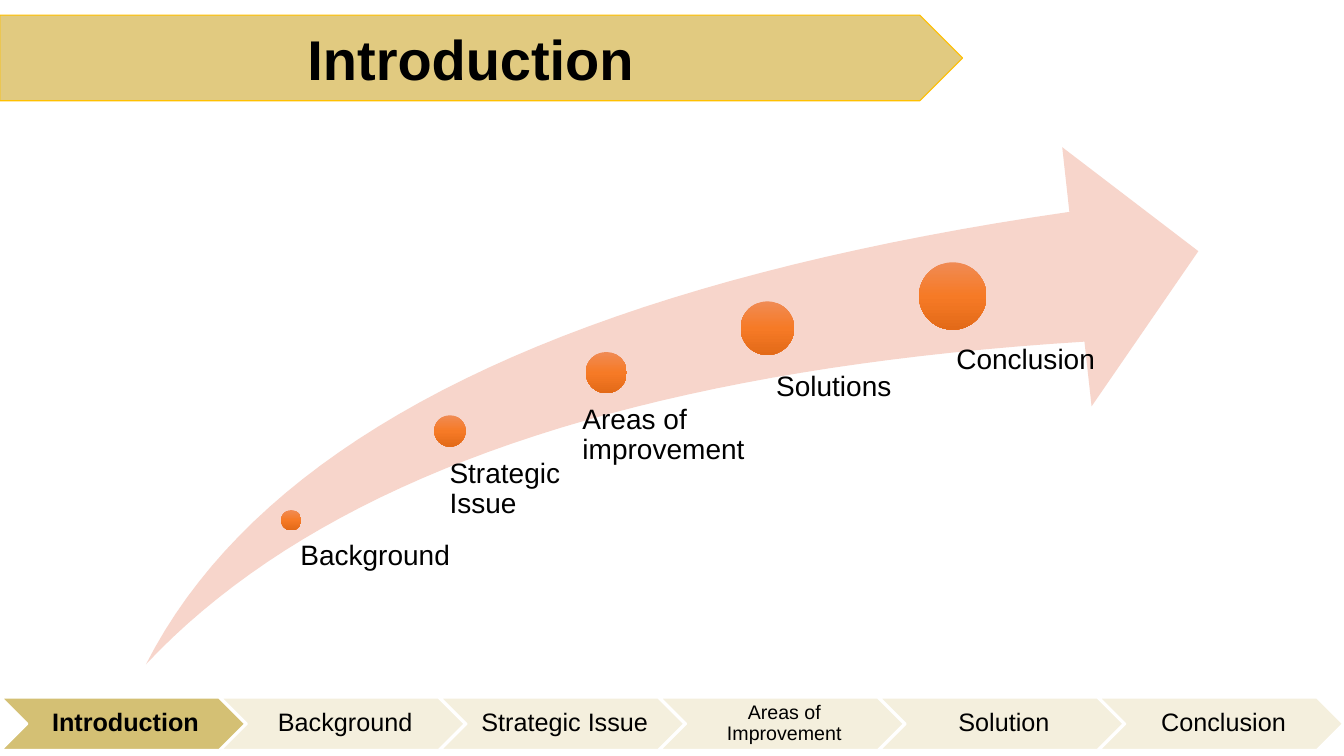
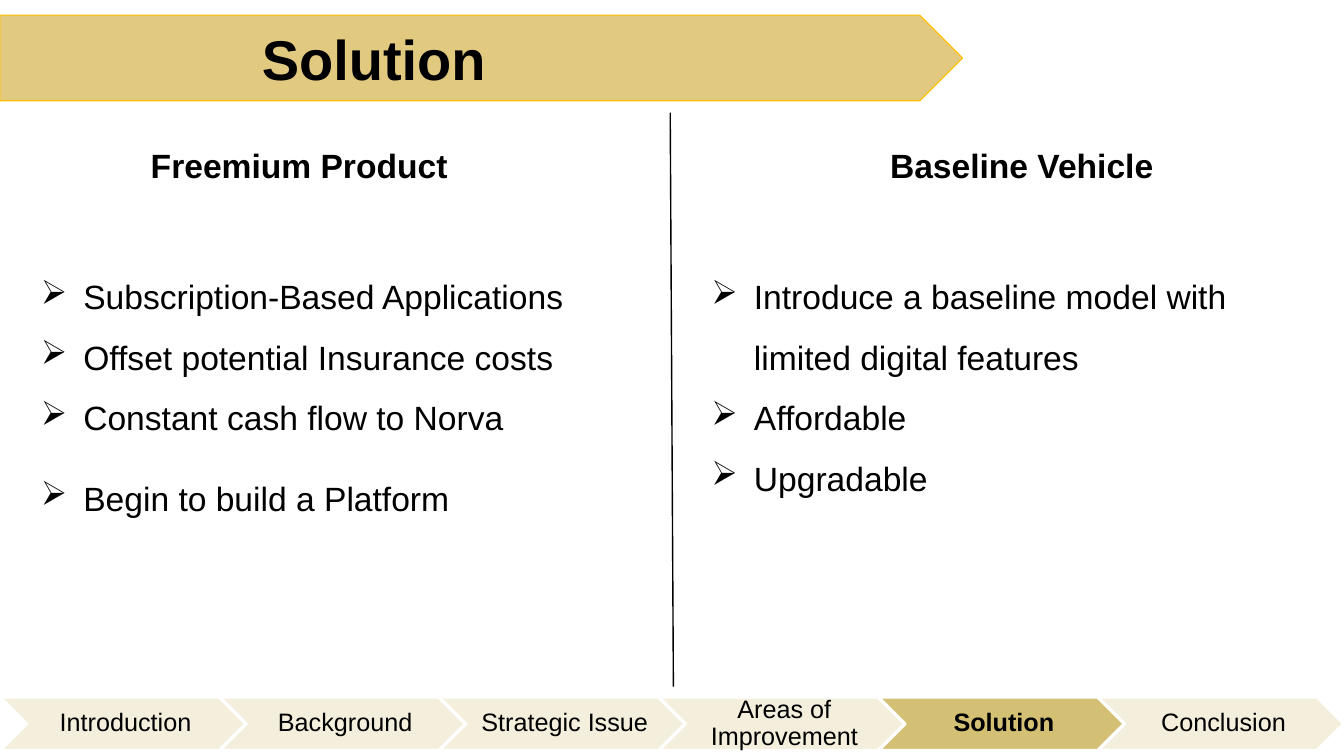
from copy import deepcopy

from lxml import etree
from pptx import Presentation
from pptx.dml import color
from pptx.enum import shapes, text
from pptx.oxml import ns
from pptx.util import Cm, Pt

FONT = "Arial"
BLACK = "000000"
WHITE = "FFFFFF"
BANNER_FILL = "E1CA80"
BANNER_EDGE = "FFC000"
STEP_FILL = "D4C074"
ARROW_FILL = "F7D5CB"
DOT_STOPS = [(0, "F08B54"), (0.5, "F67A26"), (1, "E36A18")]

BANNER_BOX = (0, 0.38, 24.26, 2.16)
STEPS_BOX = (0.03, 17.58, 33.82, 1.32)
STEPS = ["Introduction", "Background", "Strategic Issue",
         "Areas of Improvement", "Solution", "Conclusion"]

MILESTONES = [
    ("Background", (3.66, 9.4), 0.51, (3.89, 9.93, 4.22, 1.17)),
    ("Strategic Issue", (7.66, 7.15), 0.79, (7.65, 7.87, 3.61, 1.7)),
    ("Areas of improvement", (11.6, 5.68), 1.04, (11, 6.5, 4.52, 5.41)),
    ("Solutions", (15.66, 4.56), 1.35, (15.88, 5.66, 6.38, 5.61)),
    ("Conclusion", (20.33, 3.75), 1.7, (20.42, 5, 5.38, 1.04)),
]
UPPER_EDGE = [(0, 13.03), (2.95, 7.24), (10.72, 3.45), (23.27, 1.63)]
ARROW_HEAD = [(23.09, 0), (26.52, 2.62), (23.83, 6.53), (23.65, 4.9)]
LOWER_EDGE = [(23.65, 4.9), (12.29, 5.61), (4.42, 8.33), (0, 13.03)]

FREEMIUM = [("Subscription-Based Applications", 1.5),
            ("Offset potential Insurance costs", 1.5),
            ("Constant cash flow to Norva", 1.5),
            ("Begin to build a Platform", 2)]
BASELINE = [("Introduce a baseline model with limited digital features", 1.5),
            ("Affordable", 1.5),
            ("Upgradable", 1.5)]


def rgb(hex_string):
    return color.RGBColor.from_string(hex_string)


def cm(*lengths):
    return [Cm(length) for length in lengths]


def add_run(paragraph, words, size, bold=False):
    run = paragraph.add_run()
    run.text = words
    run.font.name = FONT
    run.font.size = Pt(size)
    run.font.bold = bold
    run.font.color.rgb = rgb(BLACK)


def set_frame(frame, margins, anchor=text.MSO_ANCHOR.TOP):
    frame.word_wrap = True
    frame.auto_size = text.MSO_AUTO_SIZE.NONE
    frame.vertical_anchor = anchor
    (frame.margin_left, frame.margin_top,
     frame.margin_right, frame.margin_bottom) = cm(*margins)


def add_text_box(slide, box, margins=(0.25, 0.13, 0.25, 0.13)):
    frame = slide.shapes.add_textbox(*cm(*box)).text_frame
    set_frame(frame, margins)
    return frame


def paint(shape, fill, edge=None, weight=0.75):
    shape.shadow.inherit = False
    shape.fill.solid()
    shape.fill.fore_color.rgb = rgb(fill)
    if edge:
        shape.line.color.rgb = rgb(edge)
        shape.line.width = Pt(weight)
    else:
        shape.line.fill.background()


def add_banner(slide, box, words, indent=None):
    left, top, width, height = box
    banner = slide.shapes.add_shape(shapes.MSO_SHAPE.PENTAGON, *cm(*box))
    paint(banner, BANNER_FILL, BANNER_EDGE)
    title = slide.shapes.title
    banner.element.addnext(title.element)
    title.left, title.top, title.width, title.height = cm(
        left, top, width - height / 4, height)
    set_frame(title.text_frame, (indent or 0.25, 0.13, 0.25, 0.13),
              text.MSO_ANCHOR.MIDDLE)
    paragraph = title.text_frame.paragraphs[0]
    paragraph.alignment = text.PP_ALIGN.LEFT if indent else text.PP_ALIGN.CENTER
    add_run(paragraph, words, 40, True)


def add_steps(slide, box, current, small=()):
    left, top, width, height = box
    step_width = 6.15
    pitch = (width - step_width) / (len(STEPS) - 1)
    for index, label in enumerate(STEPS):
        step = slide.shapes.add_shape(
            shapes.MSO_SHAPE.CHEVRON,
            *cm(left + index * pitch, top, step_width, height))
        paint(step, STEP_FILL, WHITE, 1.5)
        if label != current:
            tint = step.element.spPr.find(
                ns.qn("a:solidFill") + "/" + ns.qn("a:srgbClr"))
            etree.SubElement(tint, ns.qn("a:alpha"), val="24000")
        set_frame(step.text_frame, (0.2, 0.08, 0.08, 0.08),
                  text.MSO_ANCHOR.MIDDLE)
        paragraph = step.text_frame.paragraphs[0]
        paragraph.alignment = text.PP_ALIGN.CENTER
        paragraph.line_spacing = 0.9
        add_run(paragraph, label, 14 if label in small else 18,
                label == current)


def curve(controls, pieces=40):
    weights = (1, 3, 3, 1)
    for piece in range(pieces + 1):
        t = piece / pieces
        yield tuple(
            sum(weights[i] * (1 - t) ** (3 - i) * t ** i * point[axis]
                for i, point in enumerate(controls))
            for axis in (0, 1))


def add_dot(slide, center_x, center_y, size):
    dot = slide.shapes.add_shape(
        shapes.MSO_SHAPE.OVAL,
        *cm(center_x - size / 2, center_y - size / 2, size, size))
    dot.shadow.inherit = False
    dot.line.fill.background()
    dot.fill.gradient()
    dot.fill.gradient_angle = 270
    stops = dot.element.spPr.find(".//" + ns.qn("a:gsLst"))
    stops.insert(1, deepcopy(stops[0]))
    for stop, (position, shade) in zip(dot.fill.gradient_stops, DOT_STOPS):
        stop.position = position
        stop.color.rgb = rgb(shade)


def add_roadmap(slide, left, top):
    outline = [*curve(UPPER_EDGE), *ARROW_HEAD, *curve(LOWER_EDGE)]
    points = [cm(left + x, top + y) for x, y in outline]
    builder = slide.shapes.build_freeform(*points[0])
    builder.add_line_segments(points[1:], close=True)
    paint(builder.convert_to_shape(), ARROW_FILL)
    for label, (x, y), size, (label_x, label_y, width, height) in MILESTONES:
        add_dot(slide, left + x, top + y, size)
        frame = add_text_box(
            slide, (left + label_x, top + label_y, width, height), (0,) * 4)
        paragraph = frame.paragraphs[0]
        paragraph.line_spacing = 0.9
        add_run(paragraph, label, 20)


def add_bullet(paragraph):
    props = paragraph._p.get_or_add_pPr()
    props.set("marL", str(Cm(1.27)))
    props.set("indent", str(Cm(-1.07)))
    tint = etree.SubElement(props, ns.qn("a:buClr"))
    etree.SubElement(tint, ns.qn("a:srgbClr"), val=BLACK)
    etree.SubElement(props, ns.qn("a:buChar"), char="➢")


def add_column(slide, box, heading, heading_indent, points):
    left, top, width, height = box
    heading_frame = add_text_box(
        slide, (left + heading_indent, top, 8.13, 1.27))
    add_run(heading_frame.paragraphs[0], heading, 24, True)
    body = add_text_box(slide, (left, top + 2.79, width, height - 2.79))
    for index, (words, spacing) in enumerate(points):
        paragraph = body.add_paragraph() if index else body.paragraphs[0]
        add_bullet(paragraph)
        paragraph.line_spacing = spacing
        add_run(paragraph, words, 24)


def add_divider(slide, start, end):
    divider = slide.shapes.add_connector(
        shapes.MSO_CONNECTOR.STRAIGHT, *cm(*start, *end))
    divider.line.color.rgb = rgb(BLACK)
    divider.line.width = Pt(1)
    etree.SubElement(divider.element.spPr, ns.qn("a:effectLst"))


def new_slide(deck):
    return deck.slides.add_slide(deck.slide_layouts[5])


def introduction_slide(deck):
    slide = new_slide(deck)
    add_banner(slide, BANNER_BOX, "Introduction")
    add_steps(slide, STEPS_BOX, "Introduction", ["Areas of Improvement"])
    add_roadmap(slide, 3.68, 3.71)


def solution_slide(deck):
    slide = new_slide(deck)
    add_banner(slide, BANNER_BOX, "Solution", 6.6)
    add_steps(slide, STEPS_BOX, "Solution")
    add_divider(slide, (16.89, 2.84), (16.97, 17.3))
    add_column(slide, (0.58, 3.53, 16.31, 12.62),
               "Freemium Product", 2.97, FREEMIUM)
    add_column(slide, (17.48, 3.53, 16.31, 12.62),
               "Baseline Vehicle", 4.7, BASELINE)


def main():
    deck = Presentation()
    deck.slide_width, deck.slide_height = cm(33.87, 19.05)
    introduction_slide(deck)
    solution_slide(deck)
    deck.save("out.pptx")


if __name__ == "__main__":
    main()
